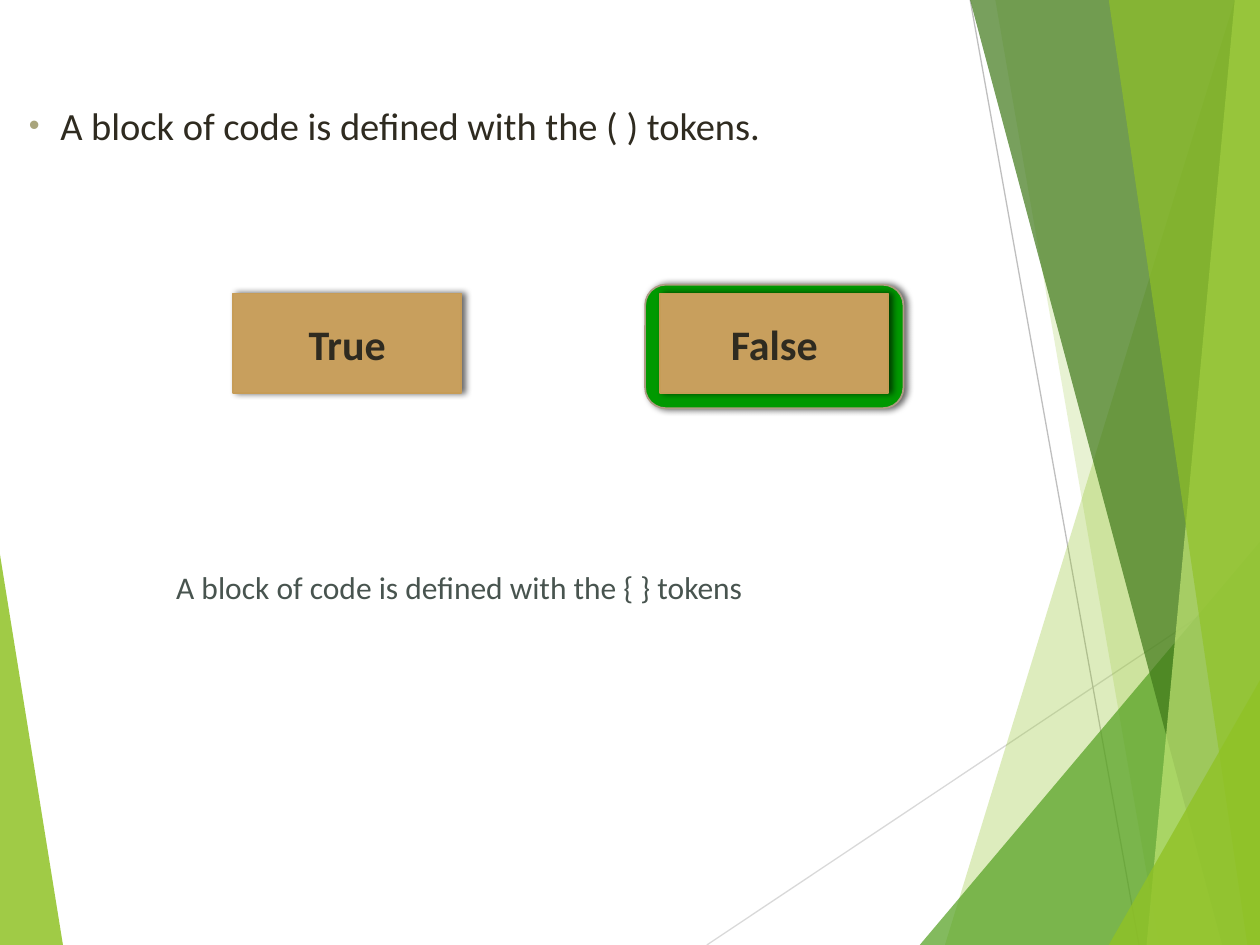
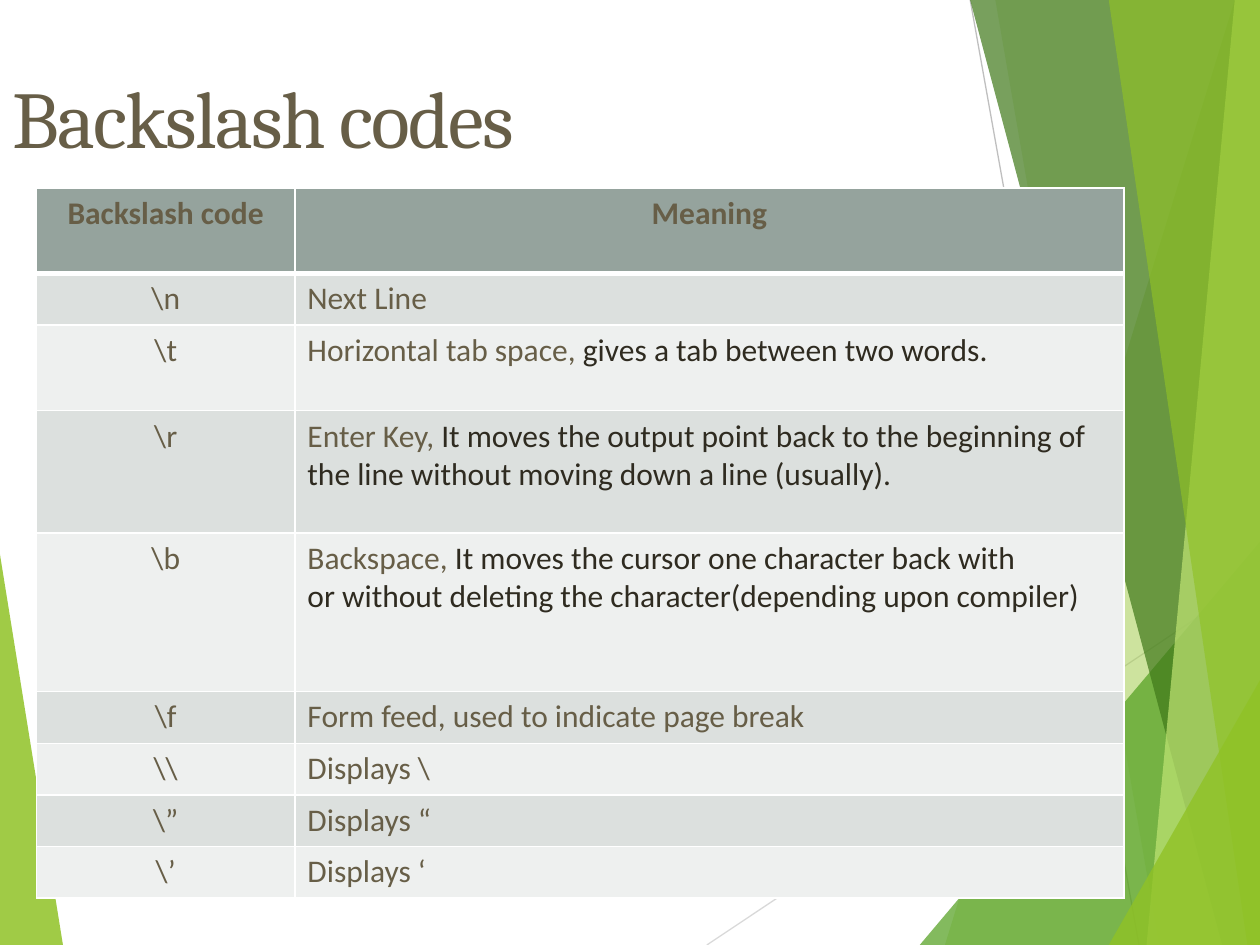
from lxml.etree import SubElement
from pptx import Presentation
from pptx.dml.color import RGBColor
from pptx.enum.shapes import MSO_CONNECTOR, MSO_SHAPE
from pptx.enum.text import MSO_ANCHOR, PP_ALIGN
from pptx.oxml.ns import qn
from pptx.util import Inches, Pt

COLORS = {
    "white": "FFFFFF", "black": "000000", "lime": "90C226",
    "leaf": "54A021", "forest": "3F7819", "pale": "C0E474",
    "light_line": "D9D9D9", "gray_line": "BFBFBF",
    "ink": "2F2B20", "brown": "675E47", "slate": "48544F", "bullet": "A9A57C",
    "button": "C89F5D", "button_line": "C69C57",
    "correct": "009900", "correct_line": "AE9C84",
    "header": "95A39D", "band_dark": "DCE0DE", "band_light": "EEF0EF",
}
COLUMNS, ROWS = 100, 75
RIGHT, BOTTOM = COLUMNS, ROWS

BACKGROUND_LINES = [
    ((56.1, BOTTOM), (RIGHT, 45.7), "light_line"),
    ((77, 0), (90.4, BOTTOM), "gray_line"),
]
LEFT_FACET = ([(0, 44.5), (4.9, BOTTOM), (0, BOTTOM)], "lime", 85)
RIGHT_FACETS = [
    ([(97.5, 0), (75.4, BOTTOM), (RIGHT, BOTTOM), (RIGHT, 0)], "lime", 30),
    ([(78.8, 0), (91.9, BOTTOM), (RIGHT, BOTTOM), (RIGHT, 0)], "lime", 20),
    ([(72.6, BOTTOM), (RIGHT, 42.9), (RIGHT, BOTTOM)], "leaf", 72),
    ([(76.7, 0), (97, BOTTOM), (RIGHT, BOTTOM), (RIGHT, 0)], "forest", 70),
    ([(98.1, 0), (90.7, BOTTOM), (RIGHT, BOTTOM), (RIGHT, 0)], "pale", 70),
    ([(88.3, 0), (98.6, BOTTOM), (RIGHT, BOTTOM), (99.8, 0)], "lime", 65),
    ([(88.1, BOTTOM), (RIGHT, 53.5), (RIGHT, BOTTOM)], "lime", 80),
]

BACKSLASH_CODES = [
    ("\\n", "Next Line", ""),
    ("\\t", "Horizontal tab space, ", "gives a tab between two words."),
    ("\\r", "Enter Key, ", "It moves the output point back to the beginning of "
     "the line without moving down a line (usually)."),
    ("\\b", "Backspace, ", "It moves the cursor one character back with\n"
     "or without deleting the character(depending upon compiler)"),
    ("\\f", "Form feed, used to indicate page break", ""),
    ("\\\\", "Displays \\", ""),
    ("\\”", "Displays “", ""),
    ("\\’", "Displays ‘", ""),
]


def rgb(color):
    return RGBColor.from_string(COLORS[color])


def write(paragraph, text, size=18, color="brown", font="Calibri", bold=False,
          align=PP_ALIGN.LEFT, spacing=None):
    paragraph.alignment = align
    run = paragraph.add_run()
    run.text = text
    run.font.name = font
    run.font.size = Pt(size)
    run.font.bold = bold
    run.font.color.rgb = rgb(color)
    if spacing is not None:
        run.font._element.set("spc", str(spacing * 100))


def add_color(parent, color, alpha=None):
    element = SubElement(parent, qn("a:srgbClr"), val=COLORS[color])
    if alpha is not None:
        SubElement(element, qn("a:alpha"), val=str(alpha * 1000))


class Deck:
    def __init__(self):
        self.presentation = Presentation()
        self.presentation.slide_width = Inches(10)
        self.presentation.slide_height = Inches(7.5)
        self.unit = self.presentation.slide_width / COLUMNS
        self.slide = None

    def length(self, cells):
        return round(cells * self.unit)

    def box(self, *cells):
        return [self.length(value) for value in cells]

    def new_slide(self):
        self.slide = self.presentation.slides.add_slide(
            self.presentation.slide_layouts[6])
        self.facet(*LEFT_FACET)
        for start, end, color in BACKGROUND_LINES:
            self.line(start, end, color)
        for facet in RIGHT_FACETS:
            self.facet(*facet)

    def facet(self, points, color, alpha):
        builder = self.slide.shapes.build_freeform(*points[0], scale=self.unit)
        builder.add_line_segments(points[1:], close=True)
        shape = builder.convert_to_shape()
        shape.shadow.inherit = False
        shape.fill.solid()
        shape.fill.fore_color.rgb = rgb(color)
        fill_color = shape._element.spPr.find(qn("a:solidFill"))[0]
        SubElement(fill_color, qn("a:alpha"), val=str(alpha * 1000))
        shape.line.fill.background()

    def line(self, start, end, color):
        connector = self.slide.shapes.add_connector(
            MSO_CONNECTOR.STRAIGHT, *self.box(*start, *end))
        connector.line.color.rgb = rgb(color)
        connector.line.width = Pt(0.75)
        SubElement(connector._element.spPr, qn("a:effectLst"))

    def panel(self, kind, box, fill, outline):
        shape = self.slide.shapes.add_shape(kind, *self.box(*box))
        shape.fill.solid()
        shape.fill.fore_color.rgb = rgb(fill)
        shape.line.color.rgb = rgb(outline)
        shape.line.width = Pt(1)
        shape.shadow.inherit = False
        shadow = SubElement(
            shape._element.spPr.find(qn("a:effectLst")), qn("a:outerShdw"),
            blurRad=str(Pt(4)), dist=str(Pt(2)), dir="0")
        add_color(shadow, "black", 60)
        return shape

    def button(self, box, label):
        frame = self.panel(MSO_SHAPE.RECTANGLE, box, "button", "button_line").text_frame
        frame.vertical_anchor = MSO_ANCHOR.MIDDLE
        write(frame.paragraphs[0], label, size=24, color="ink", bold=True,
              align=PP_ALIGN.CENTER)

    def text(self, box, text, anchor=MSO_ANCHOR.TOP, **style):
        frame = self.slide.shapes.add_textbox(*self.box(*box)).text_frame
        frame.word_wrap = True
        frame.vertical_anchor = anchor
        write(frame.paragraphs[0], text, **style)
        return frame.paragraphs[0]

    def bullet(self, box, text, **style):
        paragraph = self.text(box, text, **style)
        paragraph.space_before = Pt(4.4)
        properties = paragraph._p.get_or_add_pPr()
        properties.set("marL", str(self.length(3.8)))
        properties.set("indent", str(self.length(-2.5)))
        add_color(SubElement(properties, qn("a:buClr")), "bullet")
        SubElement(properties, qn("a:buSzPct"), val="80000")
        SubElement(properties, qn("a:buFont"), typeface="Arial")
        SubElement(properties, qn("a:buChar"), char="•")

    def title(self, text):
        self.text((0, 3, 83.3, 12.5), text, anchor=MSO_ANCHOR.MIDDLE,
                  size=46, font="Cambria", spacing=-1)

    def cell_format(self, cell, fill, top=0.96, bottom=0.96):
        properties = cell._tc.get_or_add_tcPr()
        for side, width in (("L", 0.96), ("R", 0.96), ("T", top), ("B", bottom)):
            border = SubElement(properties, qn(f"a:ln{side}"), w=str(Pt(width)))
            add_color(SubElement(border, qn("a:solidFill")), "white")
        cell.fill.solid()
        cell.fill.fore_color.rgb = rgb(fill)

    def table(self, box, headings, entries, widths, heights):
        table = self.slide.shapes.add_table(
            len(entries) + 1, len(headings), *self.box(*box)).table
        for column, width in zip(table.columns, widths):
            column.width = self.length(width)
        for row, height in zip(table.rows, heights):
            row.height = self.length(height)
        for index, heading in enumerate(headings):
            cell = table.cell(0, index)
            self.cell_format(cell, "header", bottom=3)
            write(cell.text_frame.paragraphs[0], heading, bold=True,
                  align=PP_ALIGN.CENTER)
        for row, (code, meaning, detail) in enumerate(entries, 1):
            code_cell, meaning_cell = table.cell(row, 0), table.cell(row, 1)
            for cell in (code_cell, meaning_cell):
                self.cell_format(cell, "band_dark" if row % 2 else "band_light",
                                 top=3 if row == 1 else 0.96)
            write(code_cell.text_frame.paragraphs[0], code, align=PP_ALIGN.CENTER)
            frame = meaning_cell.text_frame
            write(frame.paragraphs[0], meaning)
            for index, line in enumerate(detail.splitlines()):
                paragraph = frame.add_paragraph() if index else frame.paragraphs[0]
                write(paragraph, line, color="ink")


def build_question(deck):
    deck.new_slide()
    deck.panel(MSO_SHAPE.ROUNDED_RECTANGLE, (51.2, 22.6, 20.5, 9.8),
               "correct", "correct_line")
    deck.bullet((0, 7.6, 86.2, 60), "A block of code is defined with the ( ) tokens.",
                size=22, color="ink")
    for left, label in ((18.5, "True"), (52.4, "False")):
        deck.button((left, 23.3, 18.1, 7.9), label)
    deck.text((13, 44.6, 57.5, 7), "A block of code is defined with the { } tokens",
              color="slate")


def build_codes(deck):
    deck.new_slide()
    deck.title("Backslash codes")
    deck.table((2.9, 14.9, 86.3, 56.2), ("Backslash code", "Meaning"),
               BACKSLASH_CODES, widths=(20.5, 65.8),
               heights=(6.8, 4.1, 6.8, 9.7, 12.6, *[4.1] * 4))


def main():
    deck = Deck()
    build_question(deck)
    build_codes(deck)
    deck.presentation.save("out.pptx")


if __name__ == "__main__":
    main()
